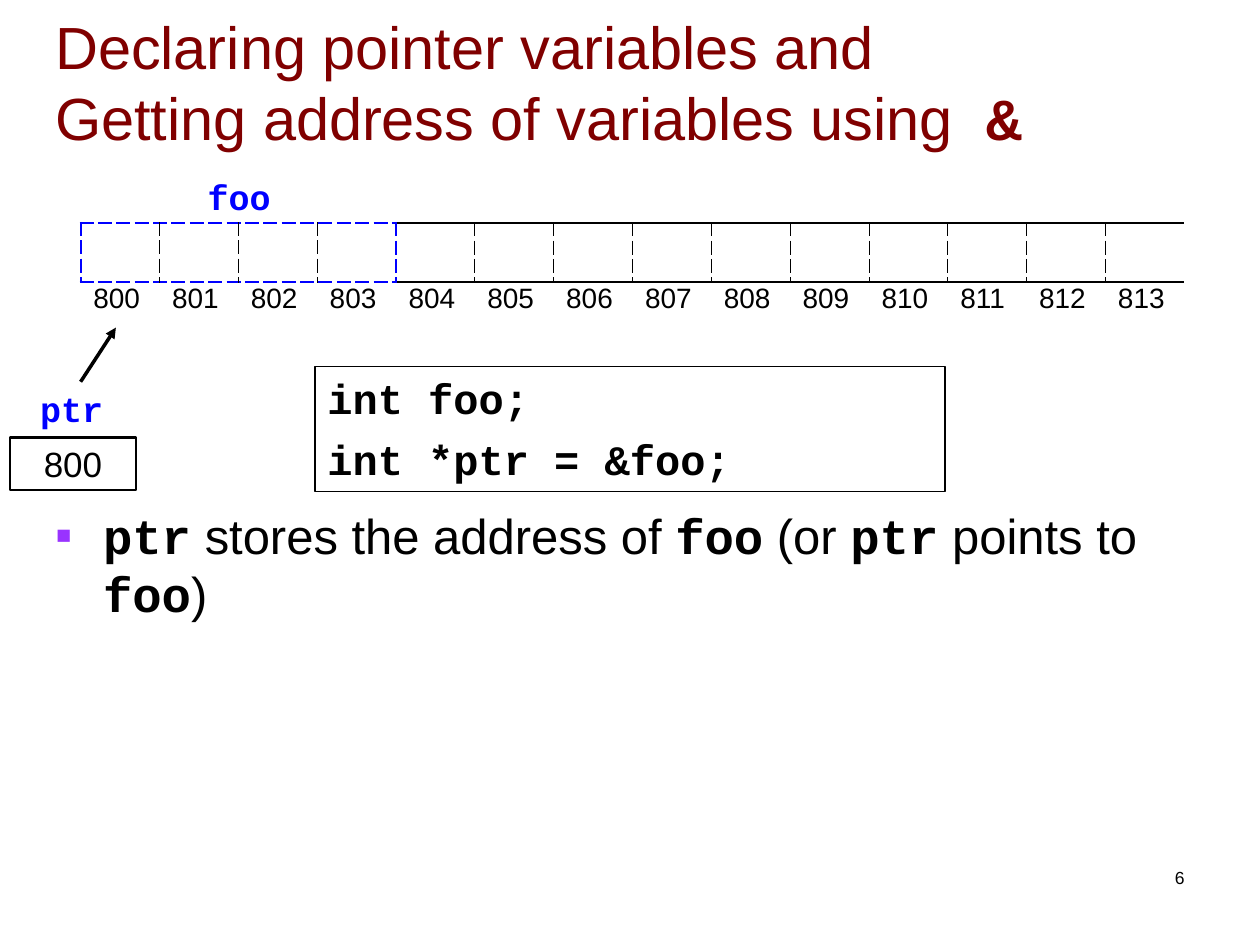
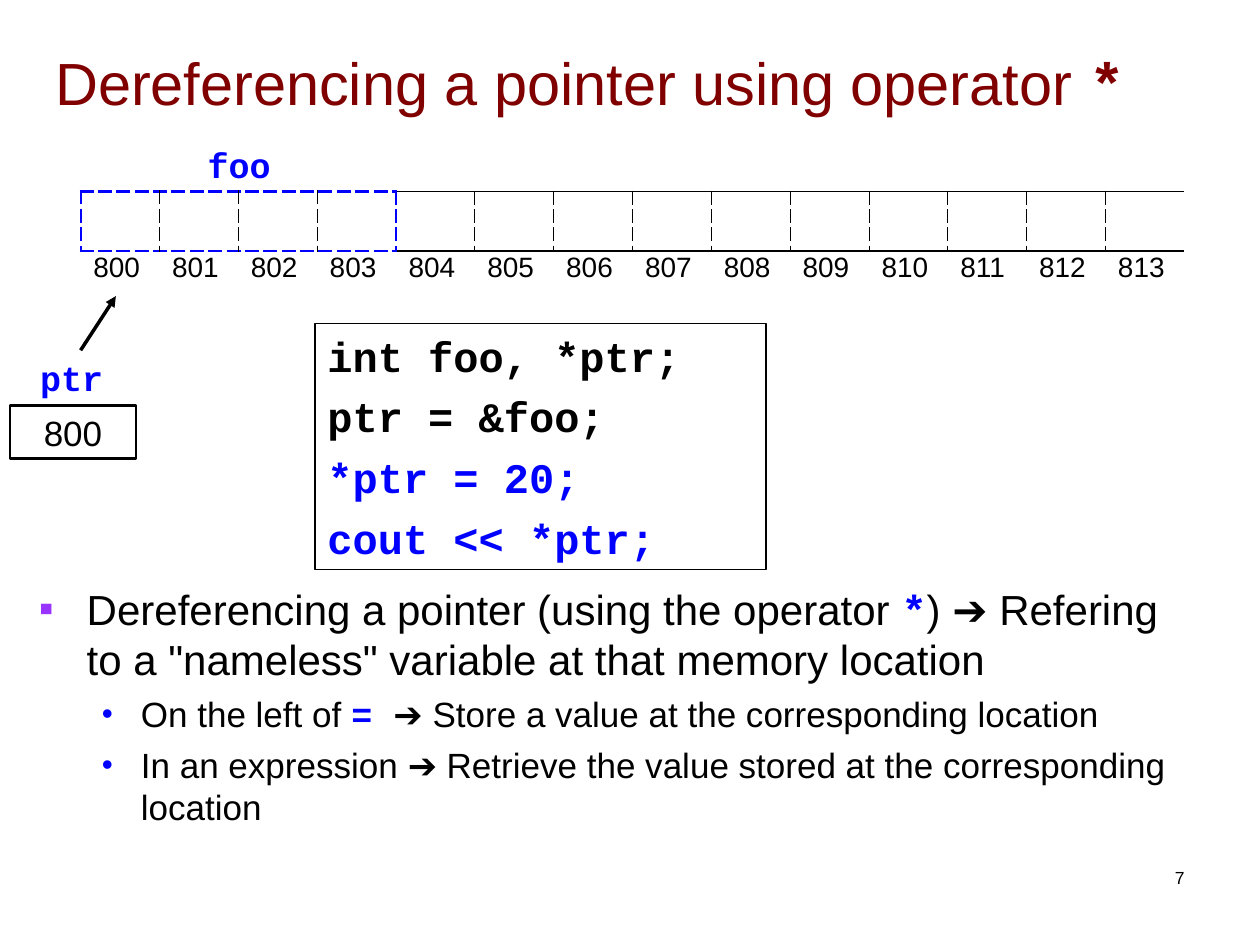
from dataclasses import dataclass
from typing import NamedTuple, Optional

from lxml.etree import SubElement
from pptx import Presentation
from pptx.dml.color import RGBColor
from pptx.enum.shapes import MSO_CONNECTOR, MSO_SHAPE
from pptx.enum.text import MSO_ANCHOR, PP_ALIGN
from pptx.oxml.ns import qn
from pptx.util import Inches, Pt

COLORS = {"title": "800000", "ink": "000000", "blue": "0000FF", "mark": "9933FF"}
FONT, MONO = "Arial", "Courier New"
START, COUNT, BYTES = 800, 14, 4
LEFT, WIDTH = 0.64, 8.76


class Box(NamedTuple):
    left: float
    top: float
    width: float
    height: float


class Run(NamedTuple):
    text: str
    code: bool = False
    color: Optional[str] = None


class Mark(NamedTuple):
    sign: str
    color: str
    left: float
    hang: float
    scale: int = 100
    level: int = 0


class Edge(NamedTuple):
    color: str
    width: float
    dash: bool = False


@dataclass
class Item:
    runs: list[Run]
    size: int
    space: int
    mark: Mark


@dataclass
class Page:
    number: int
    title: list[Run]
    base: float
    code: list[Run]
    frame: Box
    body: Box
    items: list[Item]


MAIN = Mark("▪", "mark", 0.38, 0.38)
SUB = Mark("•", "blue", 0.81, 0.31, 90, 1)
THIN = Edge("ink", 0.45, True)
SOLID = Edge("ink", 1.08)
BLUE = Edge("blue", 1.47, True)


def paint(name: str) -> RGBColor:
    return RGBColor.from_string(COLORS[name])


def place(box: Box) -> list[int]:
    return [Inches(side) for side in box]


def add_mark(para, mark: Mark) -> None:
    para.level = mark.level
    props = para._p.get_or_add_pPr()
    props.set("marL", str(Inches(mark.left)))
    props.set("indent", str(-Inches(mark.hang)))
    tint = SubElement(props, qn("a:buClr"))
    SubElement(tint, qn("a:srgbClr"), val=COLORS[mark.color])
    SubElement(props, qn("a:buSzPct"), val=str(mark.scale * 1000))
    SubElement(props, qn("a:buFont"), typeface=FONT)
    SubElement(props, qn("a:buChar"), char=mark.sign)


def write(para, runs: list[Run], *, size: int, color: str = "ink", space: int = 0,
          align: PP_ALIGN = PP_ALIGN.LEFT, mark: Optional[Mark] = None) -> None:
    para.alignment = align
    para.space_before = Pt(space)
    if mark:
        add_mark(para, mark)
    for run in runs:
        for index, part in enumerate(run.text.split("\n")):
            if index:
                para.add_line_break()
            piece = para.add_run()
            piece.text = part
            font = piece.font
            font.size = Pt(size)
            font.name = MONO if run.code else FONT
            font.bold = run.code
            font.color.rgb = paint(run.color or color)


def next_para(frame, index: int):
    return frame.add_paragraph() if index else frame.paragraphs[0]


def add_text(slide, box: Box, wrap: bool = True):
    frame = slide.shapes.add_textbox(*place(box)).text_frame
    frame.word_wrap = wrap
    return frame


def add_frame(slide, box: Box, width: float, anchor: MSO_ANCHOR):
    shape = slide.shapes.add_shape(MSO_SHAPE.RECTANGLE, *place(box))
    shape.shadow.inherit = False
    shape.fill.background()
    shape.line.color.rgb = paint("ink")
    shape.line.width = Pt(width)
    shape.text_frame.word_wrap = True
    shape.text_frame.vertical_anchor = anchor
    return shape.text_frame


def set_edge(cell, side: str, edge: Optional[Edge]) -> None:
    props = cell._tc.get_or_add_tcPr()
    line = SubElement(props, qn(f"a:ln{side}"))
    if edge is None:
        SubElement(line, qn("a:noFill"))
        return
    line.set("w", str(Pt(edge.width)))
    fill = SubElement(line, qn("a:solidFill"))
    SubElement(fill, qn("a:srgbClr"), val=COLORS[edge.color])
    SubElement(line, qn("a:prstDash"), val="dash" if edge.dash else "solid")


def add_row(slide, top: float, height: float) -> list:
    box = Box(LEFT, top, WIDTH, height)
    table = slide.shapes.add_table(1, COUNT, *place(box)).table
    table.first_row = table.horz_banding = False
    return list(table.rows[0].cells)


def wall(index: int) -> Optional[Edge]:
    if index in (0, BYTES):
        return BLUE
    return None if index == COUNT else THIN


def draw_cells(slide, top: float) -> None:
    for index, cell in enumerate(add_row(slide, top, 0.47)):
        rim = BLUE if index < BYTES else SOLID
        for side, edge in zip("LRTB", (wall(index), wall(index + 1), rim, rim)):
            set_edge(cell, side, edge)
        cell.fill.background()


def draw_labels(slide, top: float) -> None:
    for index, cell in enumerate(add_row(slide, top, 0.37)):
        for side in "LRTB":
            set_edge(cell, side, None)
        cell.fill.background()
        write(cell.text_frame.paragraphs[0], [Run(str(START + index))], size=16)


def draw_arrow(slide, top: float) -> None:
    ends = [Inches(side) for side in (LEFT, top + 0.43, 0.92, top)]
    arrow = slide.shapes.add_connector(MSO_CONNECTOR.STRAIGHT, *ends)
    arrow.line.color.rgb = paint("ink")
    arrow.line.width = Pt(2)
    SubElement(arrow.line._get_or_add_ln(), qn("a:tailEnd"), type="triangle")
    SubElement(arrow._element.spPr, qn("a:effectLst"))


def draw_memory(slide, base: float) -> None:
    draw_cells(slide, base)
    draw_labels(slide, base + 0.43)
    for name, left, top in (("foo", 1.55, base - 0.43), ("ptr", 0.22, base + 1.26)):
        frame = add_text(slide, Box(left, top, 0.7, 0.44), False)
        write(frame.paragraphs[0], [Run(name, True)], size=20, color="blue")
    draw_arrow(slide, base + 0.83)
    frame = add_frame(slide, Box(0.08, base + 1.7, 1, 0.42), 1.5, MSO_ANCHOR.MIDDLE)
    write(frame.paragraphs[0], [Run(str(START))], size=20, align=PP_ALIGN.CENTER)


def draw_page(deck, page: Page) -> None:
    slide = deck.slides.add_slide(deck.slide_layouts[6])
    title = add_text(slide, Box(0.34, 0.14, 9.37, 1.01))
    title.vertical_anchor = MSO_ANCHOR.MIDDLE
    write(title.paragraphs[0], page.title, size=34, color="title")
    body = add_text(slide, page.body)
    for index, item in enumerate(page.items):
        write(next_para(body, index), item.runs, size=item.size,
              space=item.space, mark=item.mark)
    draw_memory(slide, page.base)
    code = add_frame(slide, page.frame, 0.75, MSO_ANCHOR.TOP)
    for index, line in enumerate(page.code):
        write(next_para(code, index), [line], size=24, space=6)
    foot = add_text(slide, Box(7.17, 6.83, 2.33, 0.5))
    write(foot.paragraphs[0], [Run(str(page.number))], size=10, align=PP_ALIGN.RIGHT)


PAGES = [
    Page(
        number=6,
        title=[Run("Declaring pointer variables and\nGetting address of variables using  "),
               Run("&", True)],
        base=1.77,
        code=[Run("int foo;", True), Run("int *ptr = &foo;", True)],
        frame=Box(2.5, 2.91, 5, 0.99),
        body=Box(0.34, 3.96, 9.37, 2.73),
        items=[
            Item([Run("ptr", True), Run(" stores the address of "), Run("foo", True),
                  Run(" (or "), Run("ptr", True), Run(" points to "),
                  Run("foo", True), Run(")")], 28, 29, MAIN),
        ],
    ),
    Page(
        number=7,
        title=[Run("Dereferencing a pointer using operator "), Run("*", True)],
        base=1.52,
        code=[Run("int foo, *ptr;", True), Run("ptr = &foo;", True),
              Run("*ptr = 20;", True, "blue"), Run("cout << *ptr;", True, "blue")],
        frame=Box(2.5, 2.57, 3.58, 1.95),
        body=Box(0.21, 4.58, 9.28, 2.42),
        items=[
            Item([Run("Dereferencing a pointer (using the operator "),
                  Run("*", True, "blue"),
                  Run(') ➔ Refering to a "nameless" variable at that memory location')],
                 24, 6, MAIN),
            Item([Run("On the left of "), Run("= ", True, "blue"),
                  Run("➔ Store a value at the corresponding location")], 20, 5, SUB),
            Item([Run("In an expression ➔ Retrieve the value stored at the "
                      "corresponding location")], 20, 5, SUB),
        ],
    ),
]


def main() -> None:
    deck = Presentation()
    deck.slide_width, deck.slide_height = Inches(10), Inches(7.5)
    for page in PAGES:
        draw_page(deck, page)
    deck.save("out.pptx")


if __name__ == "__main__":
    main()
